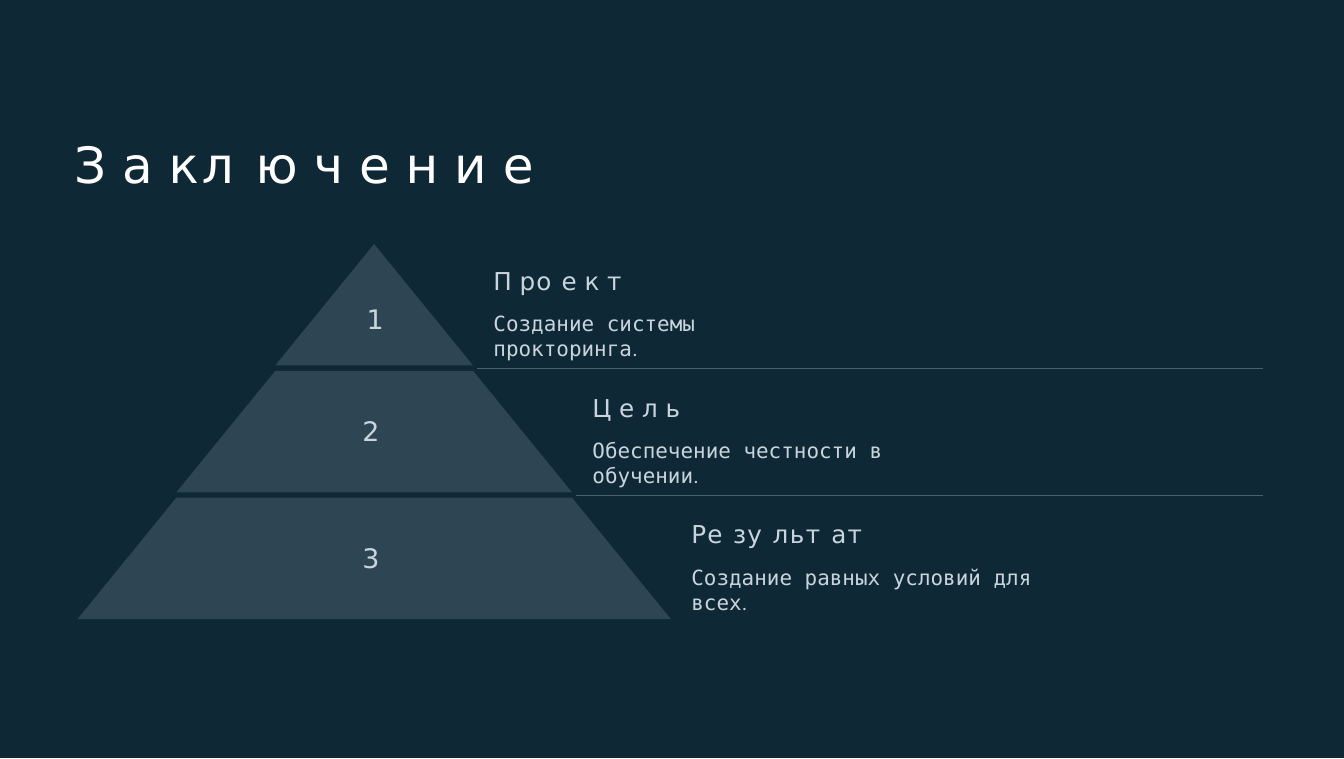
from pptx import Presentation
from pptx.dml.color import RGBColor
from pptx.enum.shapes import MSO_CONNECTOR, MSO_SHAPE
from pptx.enum.text import MSO_ANCHOR, MSO_AUTO_SIZE, PP_ALIGN
from pptx.oxml.ns import qn
from pptx.util import Inches, Pt
from lxml.etree import SubElement

COLORS = {"night": "0F2836", "tier": "2E4653", "divider": "485F6D", "text": "C9D5DE", "title": "FFFFFF"}
SANS, MONO, ROBOTO = "DejaVu Sans", "DejaVu Sans Mono", "Roboto"

APEX, PYRAMID_TOP = 3.48, 2.27
ROW, TIER_HEIGHT, STEP = 1.18, 1.13, 0.92
RIGHT_EDGE = 11.75

TIERS = [
    ([("П ", 0), ("ро ", 0.8), ("е к ", 0), ("т", -0.5)], "Создание системы прокторинга", 3.16, 3.4, 2.81),
    ([("Ц е л ", 0), ("ь", -0.5)], "Обеспечение честности в обучении", 3.51, 3.36, 3.85),
    ([("Ре зу ", 0.9), ("льт ", 1.1), ("ат", 0.8)], "Создание равных условий для всех", 3.48, 3.36, 5.03),
]


def prepare(frame, top_inset, wrap=True):
    frame.margin_left = Inches(0.01)
    frame.margin_right = frame.margin_bottom = 0
    frame.margin_top = Inches(top_inset)
    frame.word_wrap = wrap
    frame.auto_size = MSO_AUTO_SIZE.NONE
    frame.vertical_anchor = MSO_ANCHOR.TOP
    return frame


def write(paragraph, pieces, size, color, before=1):
    paragraph.alignment = PP_ALIGN.LEFT
    paragraph.space_before = Pt(before)
    for words, spacing, face in pieces:
        run = paragraph.add_run()
        run.text = words
        run.font.name = face
        run.font.size = Pt(size)
        run.font.color.rgb = RGBColor.from_string(COLORS[color])
        run._r.get_or_add_rPr().set("spc", str(round(spacing * 100)))


prs = Presentation()
prs.slide_width, prs.slide_height = Inches(12.5), Inches(7.06)
slide = prs.slides.add_slide(prs.slide_layouts[5])

backdrop = slide.shapes.add_shape(MSO_SHAPE.RECTANGLE, 0, 0, prs.slide_width, Inches(7.05))
backdrop.shadow.inherit = False
backdrop.fill.solid()
backdrop.fill.fore_color.rgb = RGBColor.from_string(COLORS["night"])
backdrop.line.fill.background()
slide.shapes._spTree.insert(2, backdrop._element)

title = slide.shapes.title
title.left, title.top, title.width, title.height = map(Inches, (0.68, 1.22, 11.13, 0.59))
heading = [("З а ", 0, SANS), ("кл ", 2, SANS), ("ю ч е н и ", 0, SANS), ("е", -0.5, SANS)]
write(prepare(title.text_frame, 0.02).paragraphs[0], heading, 33.5, "title")

for level, (name, summary, summary_width, number_left, number_top) in enumerate(TIERS):
    top = PYRAMID_TOP + ROW * level
    bottom = top + TIER_HEIGHT
    upper, lower = STEP * level, STEP * (level + 1)

    corners = [(APEX + upper, top), (APEX + lower, bottom), (APEX - lower, bottom)]
    if level:
        corners.append((APEX - upper, top))
    start, *others = [(Inches(x), Inches(y)) for x, y in corners]
    outline = slide.shapes.build_freeform(*start)
    outline.add_line_segments(others)
    tier = outline.convert_to_shape()
    tier.shadow.inherit = False
    tier.fill.solid()
    tier.fill.fore_color.rgb = RGBColor.from_string(COLORS["tier"])
    tier.line.fill.background()

    number = slide.shapes.add_textbox(*map(Inches, (number_left, number_top, 0.19, 0.33)))
    write(prepare(number.text_frame, 0.01, False).paragraphs[0], [(str(level + 1), -0.5, SANS)], 18, "text")

    caption_left, caption_top = 4.58 + STEP * level, 2.46 + ROW * level
    caption = slide.shapes.add_textbox(*map(Inches, (caption_left, caption_top, summary_width, 0.68)))
    frame = prepare(caption.text_frame, 0.01)
    write(frame.paragraphs[0], [(words, spacing, SANS) for words, spacing in name], 16.5, "text")
    write(frame.add_paragraph(), [(summary, 0, MONO), (".", 0, ROBOTO)], 14, "text", 10.5)

    if level < len(TIERS) - 1:
        divider_y = Inches(bottom + (ROW - TIER_HEIGHT) / 2)
        divider = slide.shapes.add_connector(
            MSO_CONNECTOR.STRAIGHT, Inches(4.44 + STEP * level), divider_y, Inches(RIGHT_EDGE), divider_y)
        divider.line.color.rgb = RGBColor.from_string(COLORS["divider"])
        divider.line.width = Pt(0.75)
        SubElement(divider._element.spPr, qn("a:effectLst"))

prs.save("out.pptx")
